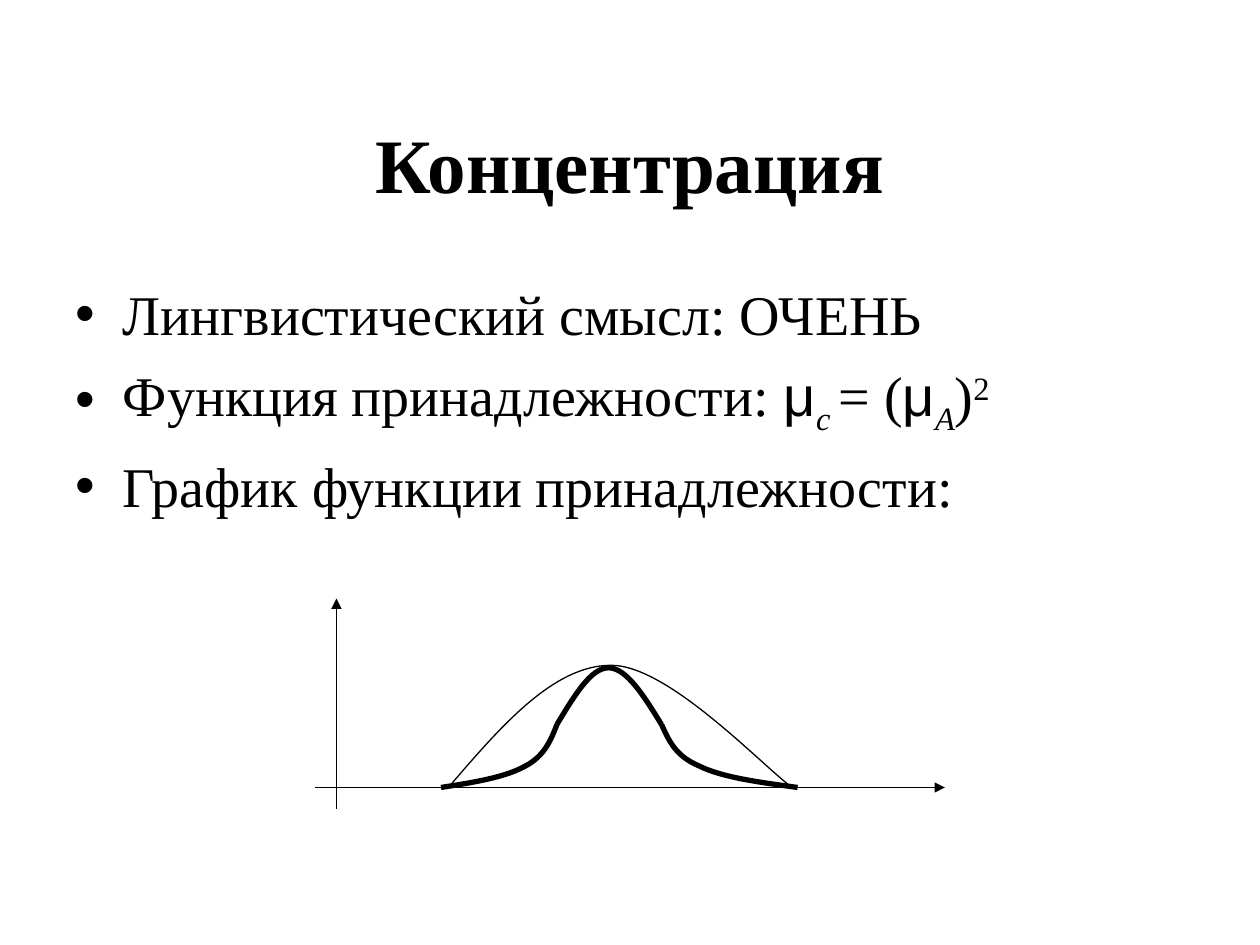
from pptx import Presentation
from pptx import util as u
from pptx.dml.color import RGBColor
from pptx.enum import shapes, text
from pptx.oxml import ns
from lxml import etree

BLACK = "000000"
SERIF, SANS = "Times New Roman", "Arial"

presentation = Presentation()
presentation.slide_width, presentation.slide_height = u.Inches(10), u.Inches(7.5)
slide = presentation.slides.add_slide(presentation.slide_layouts[1])
title, body = slide.placeholders


def style_font(font, size):
    font.name, font.size = SERIF, u.Pt(size)
    font.color.rgb = RGBColor.from_string(BLACK)


def style_line(shape, width):
    shape.line.color.rgb = RGBColor.from_string(BLACK)
    shape.line.width = u.Pt(width)
    etree.SubElement(shape.element.spPr, ns.qn("a:effectLst"))


# Title
title.left, title.top = u.Inches(0.75), u.Inches(0.67)
title.width, title.height = u.Inches(8.5), u.Inches(1.25)
title.text_frame.text = "Концентрация"
title.text_frame.vertical_anchor = text.MSO_ANCHOR.MIDDLE
heading = title.text_frame.paragraphs[0]
heading.alignment = text.PP_ALIGN.CENTER
heading.font.bold = True
style_font(heading.font, 44)

# Bullet list: each run is (wording, font, baseline shift in percent, italic)
bullets = [
    [("Лингвистический смысл: ОЧЕНЬ", SERIF, 0, False)],
    [("Функция принадлежности: ", SERIF, 0, False),
     ("μ", SANS, 0, False), ("c ", SERIF, -25, True), ("= (", SERIF, 0, False),
     ("μ", SANS, 0, False), ("A", SERIF, -25, True), (")", SERIF, 0, False),
     ("2", SERIF, 30, False)],
    [("График функции принадлежности:", SERIF, 0, False)],
]
body.left, body.top = u.Inches(0.5), u.Inches(2.17)
body.width, body.height = u.Inches(9), u.Inches(4.5)
frame = body.text_frame
frame.auto_size = text.MSO_AUTO_SIZE.NONE
for index, runs in enumerate(bullets):
    paragraph = frame.add_paragraph() if index else frame.paragraphs[0]
    paragraph.space_before = u.Pt(8 if index else 0)
    style_font(paragraph.font, 32)
    for wording, font_name, shift, italic in runs:
        run = paragraph.add_run()
        run.text = wording
        run.font.name = font_name
        if italic:
            run.font.italic = True
        if shift:
            run.font._element.set("baseline", str(shift * 1000))

# Axes with arrowheads, in inches
for ends in [(2.67, 6.42, 2.67, 4.75), (2.5, 6.25, 7.5, 6.25)]:
    axis = slide.shapes.add_connector(
        shapes.MSO_CONNECTOR.STRAIGHT, *[u.Inches(value) for value in ends])
    style_line(axis, 0.75)
    line = axis.line._get_or_add_ln()
    etree.SubElement(line, ns.qn("a:tailEnd"), type="triangle")

# Curves: line width, start, then Bezier points, in hundredths of an inch
curves = [
    # Membership function before concentration
    (0.75, [(355, 626), (397, 577), (439, 528), (485, 528),
            (531, 528), (606, 609), (630, 626)]),
    # Concentrated function: peak, left flank, right flank
    (3, [(442, 575), (456, 552), (469, 530), (483, 530),
         (497, 530), (511, 552), (525, 575)]),
    (3, [(350, 625), (376, 621), (401, 617), (417, 608),
         (432, 600), (437, 588), (442, 575)]),
    (3, [(633, 625), (603, 621), (573, 617), (555, 608),
         (536, 600), (531, 588), (525, 575)]),
]
for width, points in curves:
    builder = slide.shapes.build_freeform(*points[0], scale=u.Inches(0.01))
    builder.add_line_segments(points[1:], close=False)
    curve = builder.convert_to_shape()
    curve.fill.background()
    style_line(curve, width)
    # Turn every three straight segments into one cubic Bezier segment
    outline = next(curve.element.iter(ns.qn("a:path")))
    for index, segment in enumerate(outline.findall(ns.qn("a:lnTo"))):
        if index % 3 == 0:
            bezier = etree.SubElement(outline, ns.qn("a:cubicBezTo"))
        bezier.append(segment[0])
        outline.remove(segment)

presentation.save("out.pptx")
